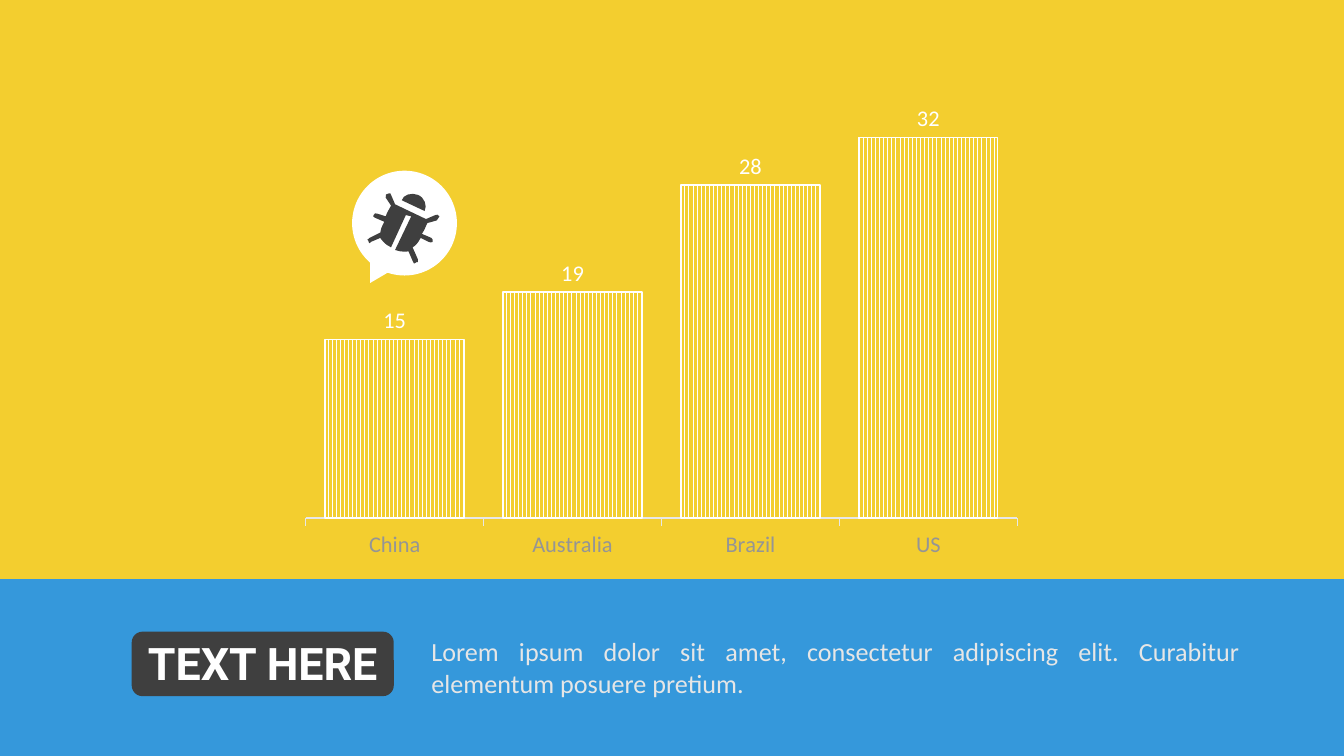
from lxml import etree
from pptx import Presentation
from pptx import util as u
from pptx.chart.data import CategoryChartData
from pptx.dml.color import RGBColor
from pptx.enum import chart as charts, dml, shapes, text
from pptx.oxml import parse_xml
from pptx.oxml.ns import nsdecls, qn

YELLOW, BLUE, DARK, WHITE = "F3CE2F", "3598DB", "3F3F3F", "FFFFFF"
AXIS_LINE, AXIS_TEXT, BODY_TEXT = "E7E7E7", "959595", "E6E6E6"

# Bug outline in hundredths of an inch: (x, y) is a line, six numbers a curve
BUG_BODY = [
    (46, 37), (40, 34), (38, 38, 36, 40, 34, 41), (38, 50), (38, 52, 38, 53, 37, 52),
    (36, 53, 35, 53, 35, 53), (34, 52, 34, 52, 34, 51), (31, 44),
    (31, 44, 26, 45, 21, 43), (33, 18), (29, 17), (18, 41), (13, 39, 10, 34, 10, 34),
    (3, 37), (3, 38, 3, 38, 2, 38), (2, 38, 1, 37, 1, 36), (0, 36, 0, 35, 2, 34),
    (10, 30), (10, 28, 11, 26, 13, 22), (6, 19), (5, 18, 4, 18, 5, 17),
    (5, 16, 7, 15, 8, 16), (14, 18), (15, 15, 17, 12, 18, 10), (14, 4),
    (14, 2, 14, 1, 16, 1), (17, 0, 18, 1, 18, 2), (21, 9), (44, 20), (51, 17),
    (52, 16, 53, 17, 54, 18), (53, 19, 53, 20, 52, 21), (45, 23),
    (44, 25, 43, 28, 41, 31), (48, 34), (49, 34, 49, 36, 49, 37), (48, 38, 47, 37, 46, 37),
]
BUG_HEAD = [(26, 6), (27, 2, 33, 0, 38, 2), (43, 4, 45, 10, 43, 14)]


def rgb(hex_color):
    return RGBColor.from_string(hex_color)


def paint(shape, color):
    shape.shadow.inherit = False
    shape.fill.solid()
    shape.fill.fore_color.rgb = rgb(color)
    shape.line.fill.background()


def style_font(font, size, color, name="Calibri", bold=False):
    font.size, font.name, font.bold = u.Pt(size), name, bold
    font.color.rgb = rgb(color)


def add_block(slide, kind, left, top, width, height, color):
    block = slide.shapes.add_shape(
        kind, u.Inches(left), u.Inches(top), u.Inches(width), u.Inches(height))
    paint(block, color)
    return block


def add_curved_outline(slide, left, top, contours):
    """Draw closed contours, then bend the segments that are curves."""
    ends = [[step[-2:] for step in contour] for contour in contours]
    builder = slide.shapes.build_freeform(*ends[0][0], scale=u.Inches(0.01))
    for i, points in enumerate(ends):
        if i:
            builder.move_to(*points[0])
        builder.add_line_segments(points[1:], close=True)
    drawing = builder.convert_to_shape(u.Inches(left), u.Inches(top))

    min_x = min(x for points in ends for x, y in points)
    min_y = min(y for points in ends for x, y in points)
    steps = [step for contour in contours for step in contour[1:]]
    for line, step in zip(list(drawing._element.iter(qn("a:lnTo"))), steps):
        if len(step) == 6:
            line.tag = qn("a:cubicBezTo")
            line.remove(line[0])
            for x, y in zip(step[::2], step[1::2]):
                etree.SubElement(line, qn("a:pt"), x=str(x - min_x), y=str(y - min_y))
    return drawing


def set_plot_layout(chart, x, y, w, h):
    plot_area = chart._chartSpace.chart.plotArea
    for old in plot_area.findall(qn("c:layout")):
        plot_area.remove(old)
    layout = parse_xml(f"<c:layout {nsdecls('c')}><c:manualLayout/></c:layout>")
    settings = [("layoutTarget", "inner"), ("xMode", "edge"), ("yMode", "edge"),
                ("x", x), ("y", y), ("w", w), ("h", h)]
    for tag, value in settings:
        etree.SubElement(layout[0], qn(f"c:{tag}")).set("val", str(value))
    plot_area.insert(0, layout)


def add_country_chart(slide, left, top, width, height):
    countries = CategoryChartData()
    countries.categories = ["US", "Brazil", "Australia", "China"]
    countries.add_series("Series 1", (32, 28, 19, 15))
    chart = slide.shapes.add_chart(
        charts.XL_CHART_TYPE.COLUMN_CLUSTERED, u.Inches(left), u.Inches(top),
        u.Inches(width), u.Inches(height), countries).chart
    chart.has_legend = chart.has_title = False
    style_font(chart.font, 10, "5C5C5C")
    set_plot_layout(chart, 0.019, 0.019, 0.961, 0.875)

    # Axes
    names = chart.category_axis
    names.reverse_order = True
    names.has_major_gridlines = False
    names.major_tick_mark = charts.XL_TICK_MARK.OUTSIDE
    names.format.line.color.rgb = rgb(AXIS_LINE)
    names.format.line.width = u.Pt(0.75)
    style_font(names.tick_labels.font, 12, AXIS_TEXT)
    values = chart.value_axis
    values.minimum_scale, values.maximum_scale = 0, 35
    values.has_major_gridlines = False
    values.visible = False

    # Striped columns with values above
    plot = chart.plots[0]
    plot.gap_width = 28
    plot.vary_by_categories = False
    columns = plot.series[0]
    fill = columns.format.fill
    fill.patterned()
    fill.pattern = dml.MSO_PATTERN.DARK_VERTICAL
    fill.fore_color.rgb, fill.back_color.rgb = rgb(YELLOW), rgb(WHITE)
    columns.format.line.color.rgb = rgb(WHITE)
    columns.format.line.width = u.Pt(0.75)
    labels = columns.data_labels
    labels.show_value = True
    labels.position = charts.XL_LABEL_POSITION.OUTSIDE_END
    style_font(labels.font, 12, WHITE)


def add_bug_callout(slide, left, top, size):
    bubble = add_block(slide, shapes.MSO_SHAPE.OVAL_CALLOUT, left, top, size, size, WHITE)
    bubble.rotation = 11.4
    bug = add_curved_outline(slide, left + 0.11, top + 0.16, [BUG_BODY, BUG_HEAD])
    paint(bug, DARK)


def place_text(slide, placeholder, box, words, align, anchor, **font):
    slide.shapes._spTree.append(placeholder._element)  # bring in front of the band
    placeholder.left, placeholder.top, placeholder.width, placeholder.height = map(u.Inches, box)
    frame = placeholder.text_frame
    frame.text = words
    frame.word_wrap = True
    frame.auto_size = text.MSO_AUTO_SIZE.NONE
    frame.vertical_anchor = anchor
    paragraph = frame.paragraphs[0]
    properties = paragraph._p.get_or_add_pPr()
    properties.set("marL", "0")
    properties.set("indent", "0")
    etree.SubElement(properties, qn("a:buNone"))
    paragraph.alignment = align
    paragraph.space_before = u.Pt(0)
    style_font(paragraph.runs[0].font, **font)


def add_caption_band(slide, left, top, width, height):
    add_block(slide, shapes.MSO_SHAPE.RECTANGLE, left, top, width, height, BLUE)
    add_block(slide, shapes.MSO_SHAPE.ROUNDED_RECTANGLE,
              left + 0.98, top + 0.39, 1.95, 0.48, DARK)
    place_text(slide, slide.shapes.title, (left + 0.98, top + 0.37, 1.95, 0.5),
               "TEXT HERE", text.PP_ALIGN.CENTER, text.MSO_ANCHOR.MIDDLE,
               size=24, color=WHITE, name="Roboto", bold=True)
    place_text(slide, slide.placeholders[1], (left + 3.11, top + 0.37, 6.22, 0.69),
               "Lorem ipsum dolor sit amet, consectetur adipiscing elit. "
               "Curabitur elementum posuere pretium.",
               text.PP_ALIGN.JUSTIFY, text.MSO_ANCHOR.TOP, size=14, color=BODY_TEXT)


def main():
    deck = Presentation()
    deck.slide_width, deck.slide_height = u.Inches(10), u.Inches(5.625)
    slide = deck.slides.add_slide(deck.slide_layouts[1])
    slide.background.fill.solid()
    slide.background.fill.fore_color.rgb = rgb(YELLOW)
    add_caption_band(slide, 0, 4.31, 10, 1.32)
    add_country_chart(slide, 2.17, 0.69, 5.51, 3.54)
    add_bug_callout(slide, 2.62, 1.27, 0.78)
    deck.save("out.pptx")


if __name__ == "__main__":
    main()
